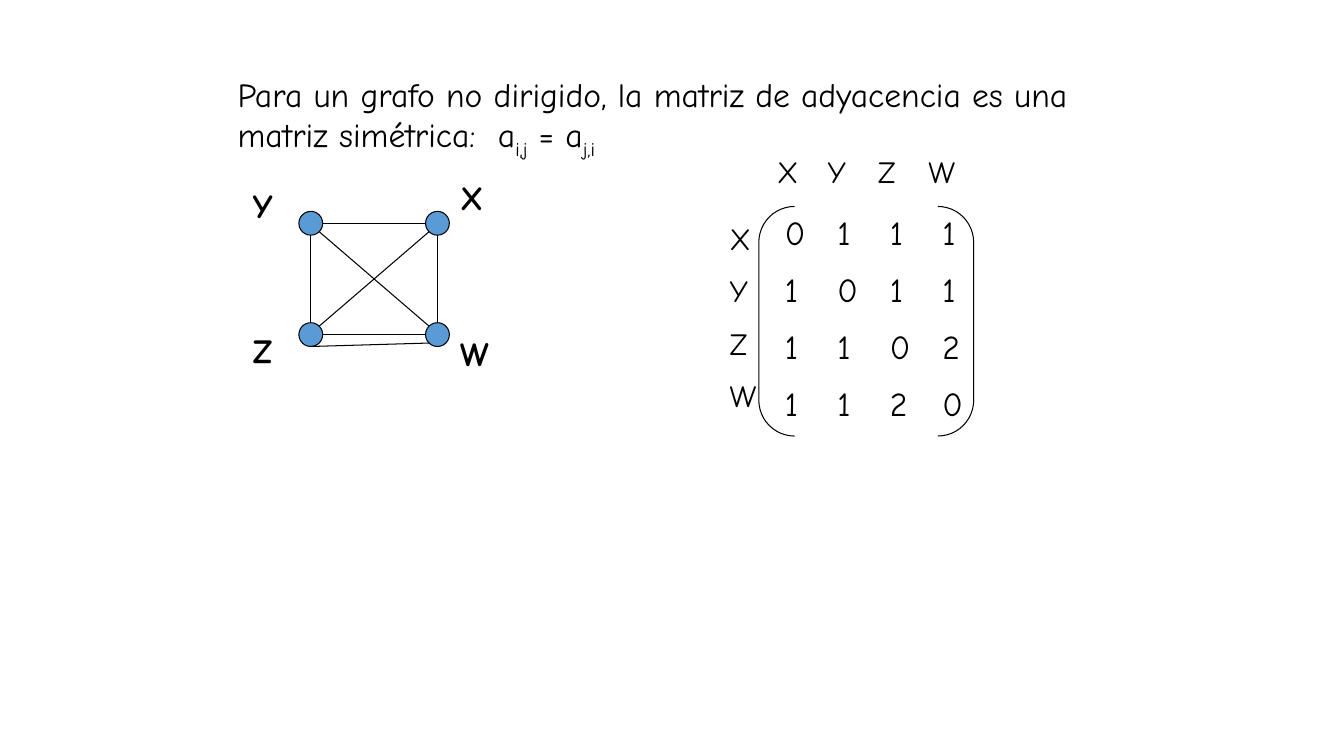
from lxml import etree
from pptx import Presentation
from pptx.dml.color import RGBColor
from pptx.enum.shapes import MSO_CONNECTOR, MSO_SHAPE
from pptx.enum.text import MSO_ANCHOR, MSO_AUTO_SIZE, PP_ALIGN
from pptx.oxml.ns import qn
from pptx.util import Pt

LINE, OVAL, BRACKETS = MSO_CONNECTOR.STRAIGHT, MSO_SHAPE.OVAL, MSO_SHAPE.DOUBLE_BRACKET
TOP, LEFT, NO_FIT = MSO_ANCHOR.TOP, PP_ALIGN.LEFT, MSO_AUTO_SIZE.NONE
COLORS = {"ink": "000000", "node": "5B9BD5"}
FONT = "Comic Neue"
DIAG = 0.71
EDGES = [
    ("Y", (1, 0), "X", (-1, 0)),
    ("Y", (0, 1), "Z", (0, -1)),
    ("Z", (1, 0), "W", (-1, 0)),
    ("X", (0, 1), "W", (0, -1)),
    ("Y", (DIAG, DIAG), "W", (-DIAG, -DIAG)),
    ("X", (-DIAG, DIAG), "Z", (DIAG, -DIAG)),
    ("Z", (0, 1), "W", (-DIAG, DIAG)),
]
VERTICES = "XYZW"
MATRIX = ["0111", "1011", "1102", "1120"]


def rgb(name):
    """Return a named colour."""
    return RGBColor.from_string(COLORS[name])


def add_run(p, text, size, bold=False, baseline=0):
    """Add one formatted run, lowered when baseline is negative."""
    r = p.add_run()
    r.text = text
    r.font.name, r.font.size, r.font.bold = FONT, Pt(size), bold
    r.font.color.rgb = rgb("ink")
    if baseline:
        r._r.get_or_add_rPr().set("baseline", str(baseline * 1000))


def add_text(slide, box, rows, size, bold=False, tab=0):
    """Place rows of text, each row's cells set apart by equal tab stops."""
    tf = slide.shapes.add_textbox(*map(Pt, box)).text_frame
    tf.word_wrap = True
    for i, row in enumerate(rows):
        p = tf.paragraphs[0] if i == 0 else tf.add_paragraph()
        if i:
            p.space_before = Pt(size / 2)
        if tab:
            tabs = etree.SubElement(p._p.get_or_add_pPr(), qn("a:tabLst"))
            for k in range(1, len(row)):
                etree.SubElement(tabs, qn("a:tab"), pos=str(Pt(k * tab)), algn="l")
        add_run(p, "\t".join(row), size, bold)


def add_statement(slide, box):
    """Write the symmetry statement in the title placeholder."""
    sp = slide.shapes.title
    sp.left, sp.top, sp.width, sp.height = map(Pt, box)
    tf = sp.text_frame
    tf.word_wrap, tf.auto_size, tf.vertical_anchor = True, NO_FIT, TOP
    p = tf.paragraphs[0]
    p.alignment = LEFT
    text = "Para un grafo no dirigido, la matriz de adyacencia es una matriz simétrica:  a"
    add_run(p, text, 24)
    add_run(p, "i,j", 24, baseline=-25)
    add_run(p, " = a", 24)
    add_run(p, "j,i", 24, baseline=-25)


def add_graph(slide, box):
    """Draw the four-vertex graph with its labels and edges."""
    x, y, w, h = box
    radius = 8.5
    left, right, top, bottom = x + 48.5, x + 139, y + 37, y + 116.5
    nodes = {"Y": (left, top), "Z": (left, bottom), "X": (right, top), "W": (right, bottom)}
    labels = {"Y": (x, y + 6), "Z": (x, y + h - 38), "X": (x + w - 28, y), "W": (x + w - 28, y + h - 36)}
    for name, (cx, cy) in nodes.items():
        sp = slide.shapes.add_shape(OVAL, Pt(cx - radius), Pt(cy - radius), Pt(2 * radius), Pt(2 * radius))
        sp.shadow.inherit = False
        sp.fill.solid()
        sp.fill.fore_color.rgb = rgb("node")
        sp.line.color.rgb = rgb("ink")
        sp.line.width = Pt(0.75)
        add_text(slide, (*labels[name], 34, 36), [name], 24, bold=True)
    for start, out, end, into in EDGES:
        ends = [c + radius * d for c, d in zip(nodes[start] + nodes[end], out + into)]
        cxn = slide.shapes.add_connector(LINE, *map(Pt, ends))
        cxn.line.color.rgb = rgb("ink")
        cxn.line.width = Pt(0.75)
        etree.SubElement(cxn._element.spPr, qn("a:effectLst"))


def add_matrix(slide, box):
    """Draw the bracketed adjacency matrix with row and column names."""
    x, y, w, h = box
    sp = slide.shapes.add_shape(BRACKETS, *map(Pt, box))
    sp.shadow.inherit = False
    sp.adjustments[0] = 0.167
    sp.fill.background()
    sp.line.color.rgb = rgb("ink")
    sp.line.width = Pt(0.75)
    add_text(slide, (x + 11.5, y, w, h + 3), MATRIX, 24, tab=37.5)
    add_text(slide, (x - 28, y + 6, 34, h - 11), VERTICES, 22)
    add_text(slide, (x + 6, y - 42, w, 34), [VERTICES], 22, tab=36)


def main():
    """Build and save the slide."""
    prs = Presentation()
    prs.slide_width, prs.slide_height = Pt(960), Pt(540)
    slide = prs.slides.add_slide(prs.slide_layouts[5])
    add_statement(slide, (162.5, 49, 618, 65.5))
    add_graph(slide, (173.5, 122.5, 176, 147.5))
    add_matrix(slide, (542, 147.5, 153.5, 164))
    prs.save("out.pptx")


if __name__ == "__main__":
    main()
